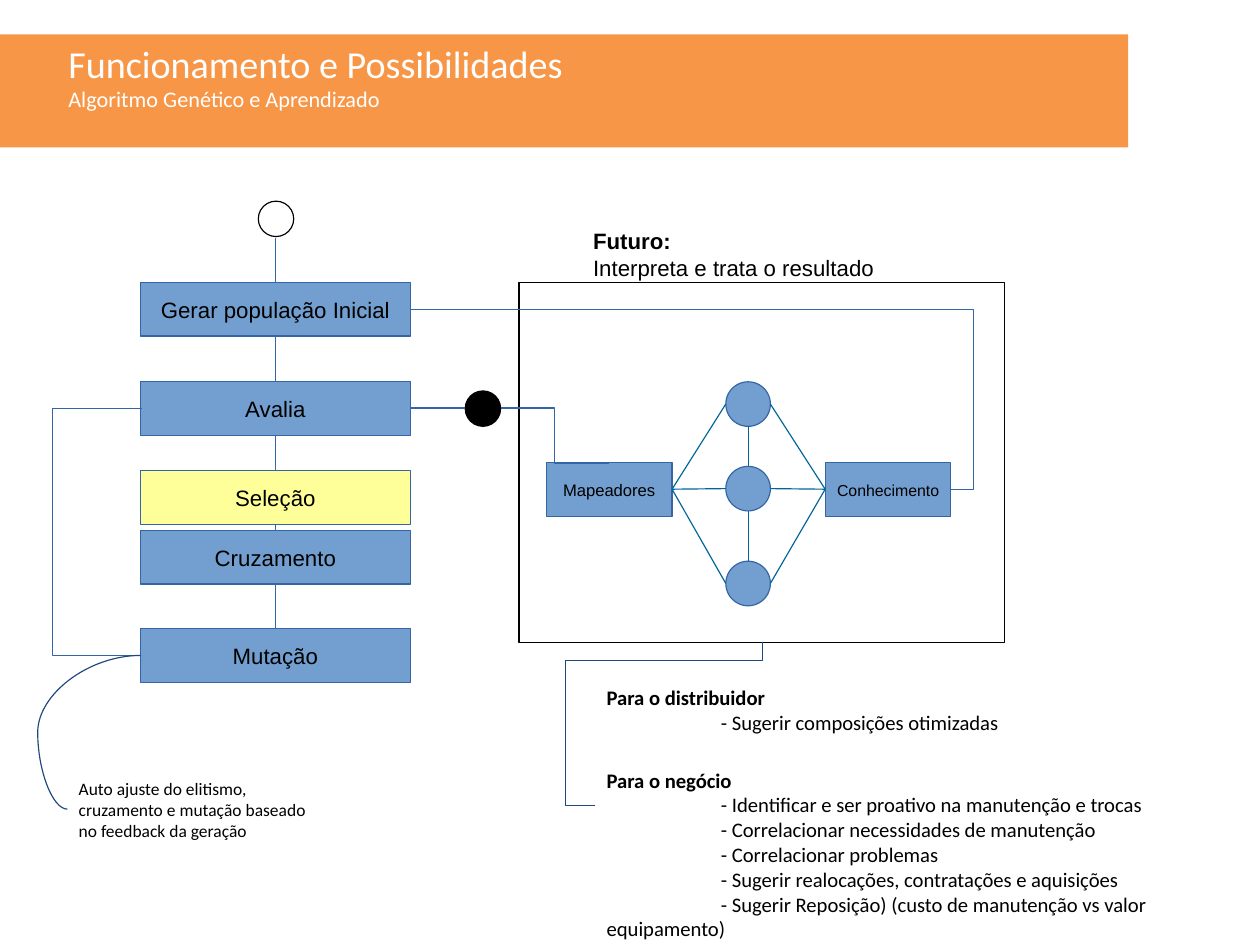
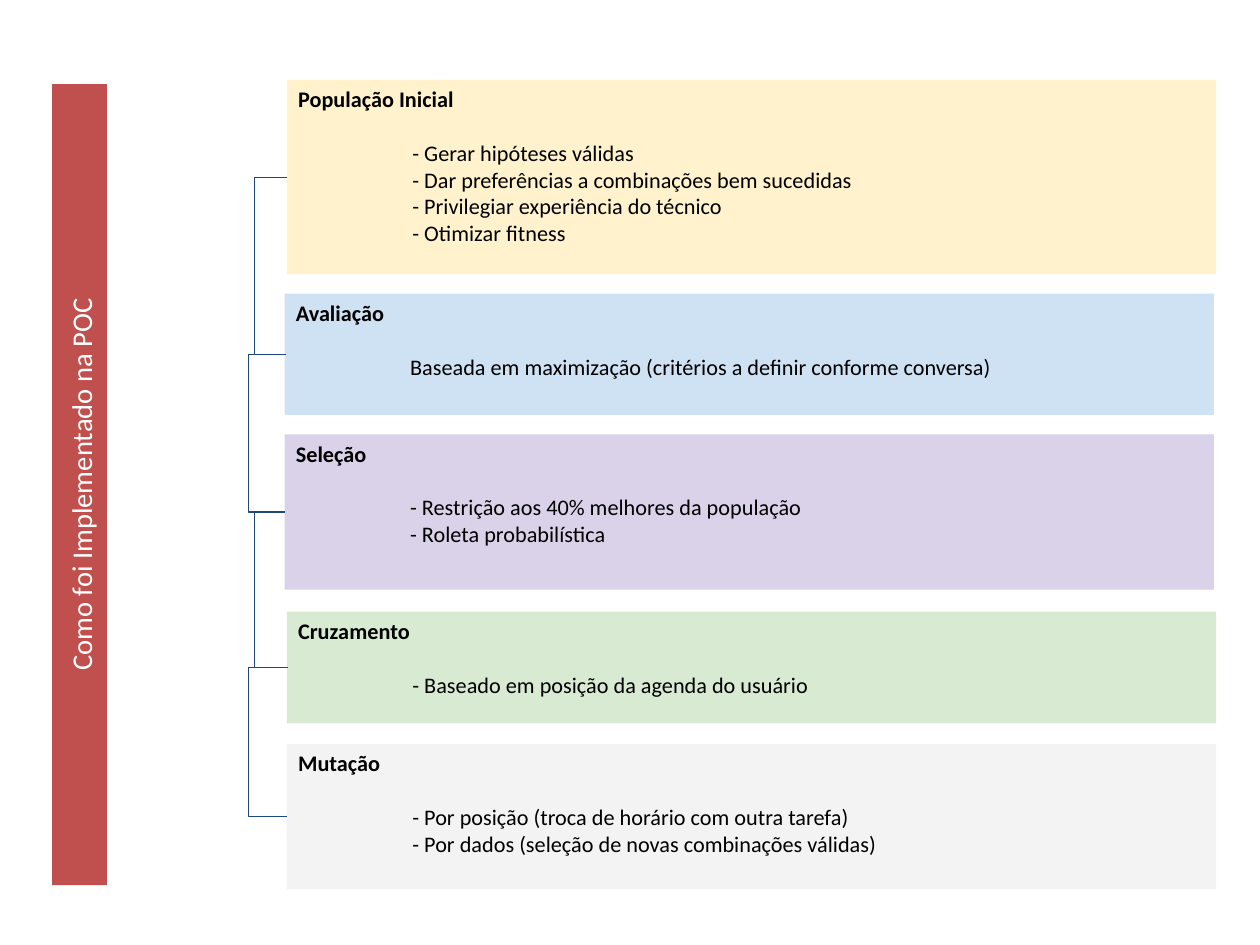
"""Two slides: a genetic algorithm flow with its future use, and how each step was implemented."""
import itertools

import pptx
import pptx.dml.color
import pptx.enum.shapes
import pptx.enum.text
import pptx.oxml
import pptx.oxml.ns
import pptx.util

Inches = pptx.util.Inches
Pt = pptx.util.Pt
RGBColor = pptx.dml.color.RGBColor
Shape = pptx.enum.shapes.MSO_SHAPE
Connector = pptx.enum.shapes.MSO_CONNECTOR
Align = pptx.enum.text.PP_ALIGN
Anchor = pptx.enum.text.MSO_ANCHOR

WHITE = RGBColor(0xFF, 0xFF, 0xFF)
BLACK = RGBColor(0x00, 0x00, 0x00)
ORANGE = RGBColor(0xF7, 0x96, 0x46)
RED = RGBColor(0xC0, 0x50, 0x4D)
STEP_BLUE = RGBColor(0x72, 0x9F, 0xCF)
STEP_YELLOW = RGBColor(0xFF, 0xFF, 0x99)
EDGE_BLUE = RGBColor(0x34, 0x65, 0xA4)
NETWORK_BLUE = RGBColor(0x00, 0x66, 0x99)
NAVY = RGBColor(0x1F, 0x49, 0x7D)
CREAM = RGBColor(0xFF, 0xF2, 0xCC)
PALE_BLUE = RGBColor(0xCF, 0xE2, 0xF3)
LILAC = RGBColor(0xD9, 0xD2, 0xE9)
PALE_GREEN = RGBColor(0xD9, 0xEA, 0xD3)
PALE_GRAY = RGBColor(0xF3, 0xF3, 0xF3)

TOP, LEFT, BOTTOM, RIGHT = range(4)


def add_box(slide, kind, at, fill=None, line=None, lines=(), size=14, font="Calibri",
            color=BLACK, align=Align.LEFT, anchor=Anchor.TOP):
    """Add a shape, or a text box if kind is None; lines hold text, bold and first-line indent."""
    area = [Inches(length) for length in at]
    if kind is None:
        shape = slide.shapes.add_textbox(*area)
    else:
        shape = slide.shapes.add_shape(kind, *area)
        shape.shadow.inherit = False
        shape.fill.solid()
        shape.fill.fore_color.rgb = fill
        if line is None:
            shape.line.fill.background()
        else:
            shape.line.color.rgb = line
            shape.line.width = Pt(0.75)
    frame = shape.text_frame
    frame.word_wrap = True
    frame.vertical_anchor = anchor
    for index, (text, bold, indent) in enumerate(lines):
        paragraph = frame.add_paragraph() if index else frame.paragraphs[0]
        paragraph.text = text
        paragraph.alignment = align
        paragraph.font.name = font
        paragraph.font.size = Pt(size)
        paragraph.font.bold = bold
        paragraph.font.color.rgb = color
        if indent:
            properties = paragraph._p.get_or_add_pPr()
            properties.set("marL", "0")
            properties.set("indent", str(Inches(indent)))
    return shape


def connect(slide, kind, begin, end, color, via=None, glue=None, rise=None):
    """Add a connector; via is the x of its bend, rise the second bend as a share of the height."""
    if via is not None and begin[0] == end[0]:
        end = (end[0] + 0.01, end[1])
    connector = slide.shapes.add_connector(kind, *[Inches(length) for length in (*begin, *end)])
    if glue:
        first, first_site, last, last_site = glue
        connector.begin_connect(first, first_site)
        connector.end_connect(last, last_site)
        connector.end_x = Inches(end[0])
    connector.line.color.rgb = color
    connector.line.width = Pt(0.75)
    properties = connector._element.spPr
    properties.append(pptx.oxml.parse_xml(
        f'<a:effectLst {pptx.oxml.ns.nsdecls("a")}/>'))
    if via is not None:
        geometry = properties.find(pptx.oxml.ns.qn("a:prstGeom"))
        bends = [(via - begin[0]) / (end[0] - begin[0])]
        if rise is not None:
            geometry.set("prst", "bentConnector4")
            bends.append(rise)
        guides = geometry.find(pptx.oxml.ns.qn("a:avLst"))
        for number, bend in enumerate(bends, 1):
            guides.append(pptx.oxml.parse_xml(
                f'<a:gd {pptx.oxml.ns.nsdecls("a")} name="adj{number}" '
                f'fmla="val {round(bend * 100000)}"/>'))
    return connector


presentation = pptx.Presentation()
presentation.slide_width = pptx.util.Cm(28)
presentation.slide_height = pptx.util.Cm(21)
blank = presentation.slide_layouts[6]

slide = presentation.slides.add_slide(blank)
band = add_box(slide, Shape.RECTANGLE, (0, 0.3, 9.87, 0.99), ORANGE, color=WHITE, lines=[
    ("Funcionamento e Possibilidades", False, 0.5),
    ("Algoritmo Genético e Aprendizado", False, 0.5)])
band.text_frame.paragraphs[0].font.size = Pt(24)

step_left, step_width, step_height = 1.23, 2.36, 0.47
step_center = step_left + step_width / 2
steps = []
step_tops = [2.47, 3.34, 4.12, 4.64, 5.5]
step_names = ["Gerar população Inicial", "Avalia", "Seleção", "Cruzamento", "Mutação"]
for name, top in zip(step_names, step_tops):
    fill = STEP_YELLOW if name == "Seleção" else STEP_BLUE
    steps.append(add_box(
        slide, Shape.RECTANGLE, (step_left, top, step_width, step_height), fill, EDGE_BLUE,
        [(name, False, 0)], font="Arial", align=Align.CENTER, anchor=Anchor.MIDDLE))
population, evaluation, selection, crossover, mutation = steps

add_box(slide, Shape.OVAL, (2.26, 1.76, 0.31, 0.31), WHITE, BLACK)
add_box(slide, Shape.OVAL, (4.07, 3.42, 0.31, 0.31), BLACK, BLACK)
connect(slide, Connector.STRAIGHT, (step_center, 2.08), (step_center, 2.47), EDGE_BLUE)
connect(slide, Connector.STRAIGHT, (3.59, 3.57), (4.07, 3.57), EDGE_BLUE)
for (upper, upper_top), (lower, lower_top) in itertools.pairwise(zip(steps, step_tops)):
    connect(slide, Connector.STRAIGHT, (step_center, upper_top + step_height),
            (step_center, lower_top), EDGE_BLUE, glue=(upper, BOTTOM, lower, TOP))
connect(slide, Connector.ELBOW, (step_left, 5.74), (step_left, 3.57), EDGE_BLUE, via=0.45,
        glue=(mutation, LEFT, evaluation, LEFT))

future = add_box(slide, Shape.RECTANGLE, (4.54, 2.47, 4.25, 3.15), WHITE, BLACK)
ends = []
for name, left, size in [("Mapeadores", 4.78, 10.5), ("Conhecimento", 7.22, 10)]:
    ends.append(add_box(
        slide, Shape.RECTANGLE, (left, 4.05, 1.1, step_height), STEP_BLUE, EDGE_BLUE,
        [(name, False, 0)], size, "Arial", align=Align.CENTER, anchor=Anchor.MIDDLE))
mappers, knowledge = ends

node_left, node_size = 6.35, 0.39
node_tops = [3.34, 4.08, 4.91]
for top in node_tops:
    middle = top + node_size / 2
    add_box(slide, Shape.OVAL, (node_left, top, node_size, node_size), STEP_BLUE, EDGE_BLUE)
    connect(slide, Connector.STRAIGHT, (5.88, 4.28), (node_left, middle), NETWORK_BLUE)
    connect(slide, Connector.STRAIGHT, (node_left + node_size, middle), (7.22, 4.28),
            NETWORK_BLUE)
for upper_top, lower_top in itertools.pairwise(node_tops):
    connect(slide, Connector.STRAIGHT, (6.55, upper_top + node_size), (6.55, lower_top),
            NETWORK_BLUE)
connect(slide, Connector.ELBOW, (8.32, 4.28), (3.59, 2.71), EDGE_BLUE, via=8.52,
        glue=(knowledge, RIGHT, population, RIGHT))
connect(slide, Connector.ELBOW, (4.38, 3.57), (5.33, 4.05), EDGE_BLUE)

add_box(slide, None, (5.09, 1.94, 3.15, 0.53), font="Arial", lines=[
    ("Futuro:", True, 0), ("Interpreta e trata o resultado", False, 0)])
benefits = add_box(slide, None, (5.21, 5.94, 5.67, 2.22), size=13, lines=[
    ("Para o distribuidor", True, 0),
    ("- Sugerir composições otimizadas", False, 1),
    ("Para o negócio", True, 0),
    ("- Identificar e ser proativo na manutenção e trocas", False, 1),
    ("- Correlacionar necessidades de manutenção", False, 1),
    ("- Correlacionar problemas", False, 1),
    ("- Sugerir realocações, contratações e aquisições", False, 1),
    ("- Sugerir Reposição) (custo de manutenção vs valor equipamento)", False, 1)])
benefits.text_frame.paragraphs[2].space_before = Pt(21)
feedback = add_box(slide, None, (0.59, 6.76, 2.36, 0.64), size=11, lines=[
    ("Auto ajuste do elitismo, cruzamento e mutação baseado no feedback da geração", False, 0)])
connect(slide, Connector.ELBOW, (5.21, 7.04), (6.67, 5.62), NAVY, via=4.95, rise=0.89,
        glue=(benefits, LEFT, future, BOTTOM))
connect(slide, Connector.CURVE, (0.59, 7.08), (1.23, 5.74), NAVY, via=0.33,
        glue=(feedback, LEFT, mutation, LEFT))

slide = presentation.slides.add_slide(blank)
stages = [
    ("População Inicial", 2.51, 0.7, 1.7, CREAM, [
        "- Gerar hipóteses válidas",
        "- Dar preferências a combinações bem sucedidas",
        "- Privilegiar experiência do técnico",
        "- Otimizar fitness"]),
    ("Avaliação", 2.49, 2.57, 1.06, PALE_BLUE, [
        "Baseada em maximização (critérios a definir conforme conversa)"]),
    ("Seleção", 2.49, 3.8, 1.36, LILAC, [
        "- Restrição aos 40% melhores da população",
        "- Roleta probabilística"]),
    ("Cruzamento", 2.51, 5.35, 0.98, PALE_GREEN, [
        "- Baseado em posição da agenda do usuário"]),
    ("Mutação", 2.51, 6.51, 1.27, PALE_GRAY, [
        "- Por posição (troca de horário com outra tarefa)",
        "- Por dados (seleção de novas combinações válidas)"]),
]
panels = []
for name, left, top, height, fill, details in stages:
    panel = add_box(slide, Shape.RECTANGLE, (left, top, 8.13, height), fill, lines=[
        (name, True, 0), *[(detail, False, 1) for detail in details]])
    panel.text_frame.paragraphs[0].space_after = Pt(17)
    panels.append((panel, (left, top + height / 2)))
bend_positions = itertools.cycle([2.17, 2.23])
for (lower, begin), (upper, end) in itertools.pairwise(reversed(panels)):
    connect(slide, Connector.ELBOW, begin, end, NAVY, via=next(bend_positions),
            glue=(lower, LEFT, upper, LEFT))

sidebar = add_box(slide, Shape.RECTANGLE, (-2.81, 4, 7.01, 0.48), RED, size=18, color=WHITE,
                  align=Align.CENTER, lines=[("Como foi Implementado na POC", False, 0)])
sidebar.rotation = 270
sidebar.text_frame.margin_top = sidebar.text_frame.margin_bottom = Inches(0.1)

presentation.save("out.pptx")
